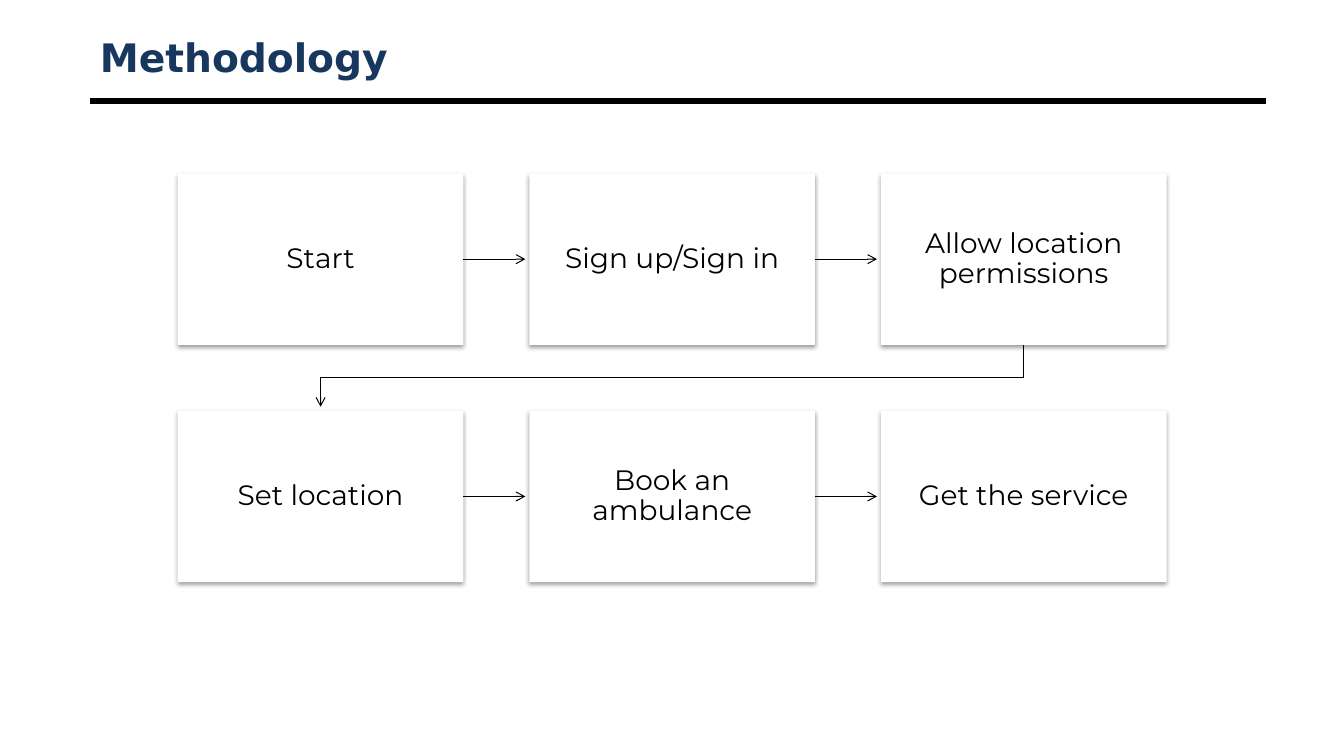
from dataclasses import dataclass

from lxml.etree import SubElement
from pptx import Presentation
from pptx.dml.color import RGBColor
from pptx.enum.shapes import MSO_CONNECTOR, MSO_SHAPE
from pptx.enum.text import MSO_ANCHOR, PP_ALIGN
from pptx.oxml.ns import qn
from pptx.util import Cm, Pt


@dataclass(frozen=True)
class Theme:
    """Colours, fonts and sizes of the slide."""

    ink: RGBColor = RGBColor.from_string("000000")
    card: RGBColor = RGBColor.from_string("FFFFFF")
    title: RGBColor = RGBColor.from_string("17375E")
    title_font: str = "DejaVu Sans"
    body_font: str = "Montserrat"
    title_size: Pt = Pt(28)
    body_size: Pt = Pt(20)
    rule_width: Pt = Pt(4.5)
    arrow_width: Pt = Pt(0.75)


class FlowSlide:
    """Draws the elements of a flow chart on one slide."""

    def __init__(self, slide, theme):
        """Keep the slide and its theme."""
        self.slide = slide
        self.theme = theme

    def set_text(self, shape, text, font_name, size, color, bold=False):
        """Put one styled paragraph, vertically centred, into a shape."""
        frame = shape.text_frame
        frame.word_wrap = True
        frame.vertical_anchor = MSO_ANCHOR.MIDDLE
        paragraph = frame.paragraphs[0]
        paragraph.text = text
        font = paragraph.font
        font.name, font.size, font.bold = font_name, size, bold
        font.color.rgb = color
        return paragraph

    def title(self, text, left, top, width, height):
        """Add the slide title."""
        shape = self.slide.shapes.add_textbox(left, top, width, height)
        theme = self.theme
        self.set_text(
            shape, text, theme.title_font, theme.title_size, theme.title, True)

    def card(self, text, left, top, width, height):
        """Add a white step card with a soft shadow."""
        shape = self.slide.shapes.add_shape(
            MSO_SHAPE.RECTANGLE, left, top, width, height)
        theme = self.theme
        shape.fill.solid()
        shape.fill.fore_color.rgb = theme.card
        shape.line.fill.background()
        shape.shadow.inherit = False
        effects = shape.element.spPr.find(qn("a:effectLst"))
        shadow = SubElement(
            effects, qn("a:outerShdw"), blurRad=str(Pt(3.1)), dist=str(Pt(1.6)),
            dir="5400000", algn="t", rotWithShape="0")
        color = SubElement(shadow, qn("a:srgbClr"), val=str(theme.ink))
        SubElement(color, qn("a:alpha"), val="38000")
        frame = shape.text_frame
        frame.margin_left = frame.margin_right = Cm(0.4)
        frame.margin_top = frame.margin_bottom = Cm(0.4)
        paragraph = self.set_text(
            shape, text, theme.body_font, theme.body_size, theme.ink)
        paragraph.alignment = PP_ALIGN.CENTER
        paragraph.line_spacing = 0.9
        return shape

    def stroke(self, shape, width, arrow):
        """Style a line and give it an open arrowhead if wanted."""
        shape.line.color.rgb = self.theme.ink
        shape.line.width = width
        if arrow:
            SubElement(shape.get_or_add_ln(), qn("a:tailEnd"), type="arrow")

    def line(self, start, end, width, arrow=False):
        """Add a straight connector."""
        connector = self.slide.shapes.add_connector(
            MSO_CONNECTOR.STRAIGHT, *start, *end)
        self.stroke(connector, width, arrow)
        SubElement(connector.element.spPr, qn("a:effectLst"))
        return connector

    def arrow_right(self, source, target, gap):
        """Point from one card to just before the next in its row."""
        middle = source.top + source.height // 2
        connector = self.line(
            (source.left + source.width, middle), (target.left - gap, middle),
            self.theme.arrow_width, arrow=True)
        connector.begin_connect(source, 3)

    def arrow_wrap(self, source, target, gap):
        """Point from the end of one row to the start of the next."""
        start_x = source.left + source.width // 2
        end_x = target.left + target.width // 2
        bottom = source.top + source.height
        middle = (bottom + target.top) // 2
        builder = self.slide.shapes.build_freeform(start_x, bottom)
        builder.add_line_segments(
            [(start_x, middle), (end_x, middle), (end_x, target.top - gap)],
            close=False)
        shape = builder.convert_to_shape()
        shape.fill.background()
        shape.shadow.inherit = False
        self.stroke(shape, self.theme.arrow_width, arrow=True)


def main():
    """Build the methodology slide."""
    presentation = Presentation()
    presentation.slide_width, presentation.slide_height = Cm(33.87), Cm(19.05)
    theme = Theme()
    flow = FlowSlide(
        presentation.slides.add_slide(presentation.slide_layouts[6]), theme)

    flow.line((Cm(2.27), Cm(2.54)), (Cm(31.9), Cm(2.54)), theme.rule_width)
    flow.title("Methodology", Cm(2.27), Cm(0.76), Cm(29.63), Cm(1.35))

    steps = ["Start", "Sign up/Sign in", "Allow location permissions",
             "Set location", "Book an ambulance", "Get the service"]
    columns = 3
    cards = []
    for index, step in enumerate(steps):
        row, column = divmod(index, columns)
        cards.append(flow.card(
            step, Cm(4.48 + 8.86 * column), Cm(4.37 + 5.98 * row),
            Cm(7.2), Cm(4.32)))

    for index, (source, target) in enumerate(zip(cards, cards[1:]), start=1):
        draw = flow.arrow_right if index % columns else flow.arrow_wrap
        draw(source, target, Cm(0.1))

    presentation.save("out.pptx")


if __name__ == "__main__":
    main()
